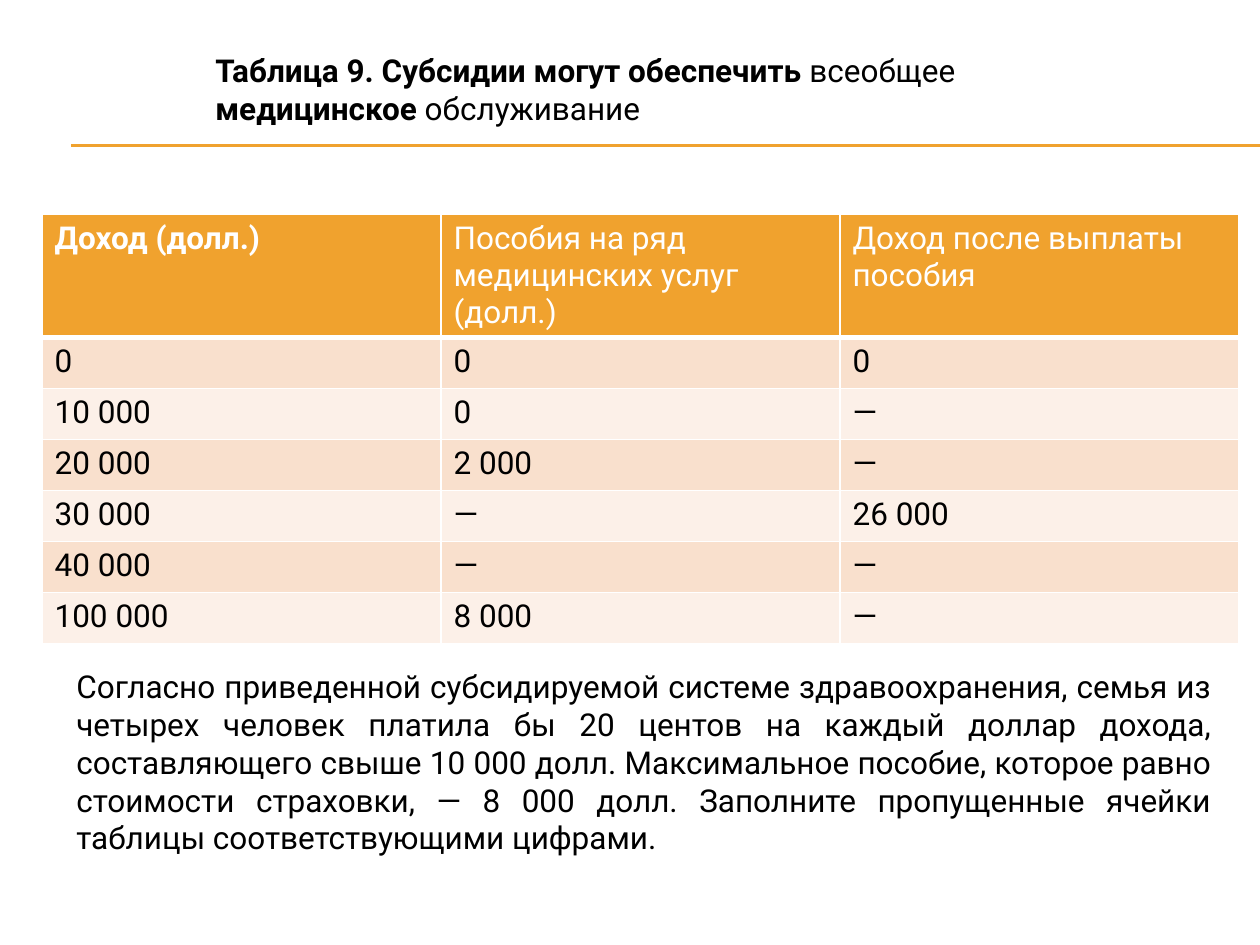
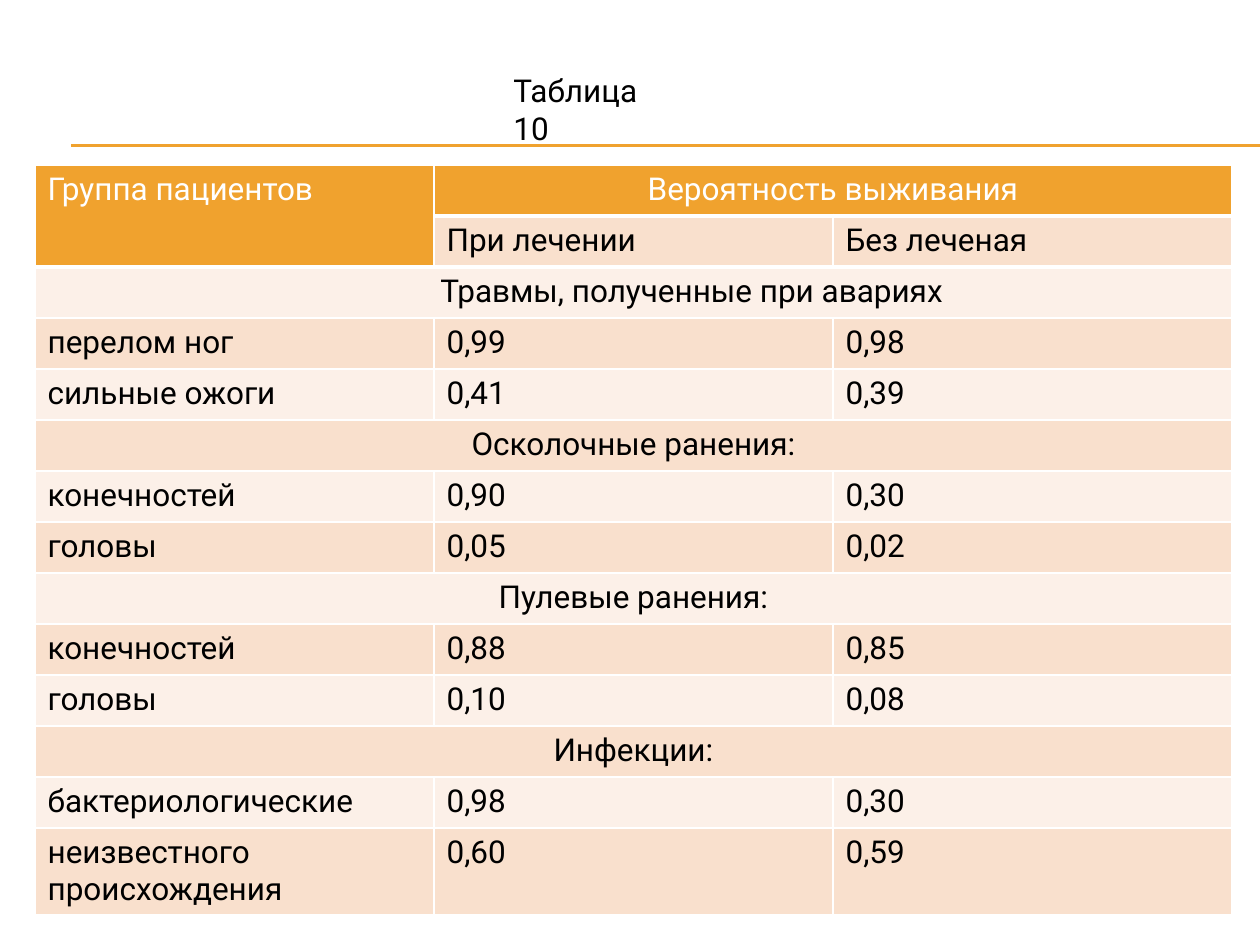
"""Builds two slides of tables on health care subsidies and survival chances."""
from dataclasses import dataclass

from lxml import etree
from pptx import Presentation
from pptx.dml.color import RGBColor
from pptx.enum.shapes import MSO_CONNECTOR
from pptx.enum.text import PP_ALIGN
from pptx.oxml.ns import qn
from pptx.util import Emu, Pt

STRAIGHT = MSO_CONNECTOR.STRAIGHT
LEFT = PP_ALIGN.LEFT
CENTER = PP_ALIGN.CENTER
JUSTIFY = PP_ALIGN.JUSTIFY

PIXELS_PER_INCH = 126
SLIDE_WIDTH, SLIDE_HEIGHT = 1260, 945
COLUMN_COUNT, COLUMN_WIDTH, ROW_HEIGHT = 3, 399, 51
RULE_LEFT, RULE_TOPS = 71, (145, 146)
BLANK_LAYOUT = 6

FONT_NAME = "Roboto"
FONT_SIZE = 18
ORANGE = RGBColor(0xF0, 0xA2, 0x2E)
DARK_BAND = RGBColor(0xF9, 0xE0, 0xCD)
LIGHT_BAND = RGBColor(0xFC, 0xF0, 0xE8)
WHITE = RGBColor(0xFF, 0xFF, 0xFF)
BLACK = RGBColor(0x00, 0x00, 0x00)
THIN_BORDER, THICK_BORDER = 1, 3


@dataclass(frozen=True)
class Run:
    """A piece of text with one weight."""
    text: str
    bold: bool = False


@dataclass(frozen=True)
class TextBlock:
    """A text box with one paragraph."""
    left: int
    top: int
    width: int
    height: int
    runs: tuple[Run, ...]
    alignment: PP_ALIGN = LEFT


@dataclass(frozen=True)
class TableBlock:
    """A table whose short rows stretch their last cell; empty cells join the one above."""
    left: int
    top: int
    rows: tuple[tuple[str, ...], ...]
    bold_headers: tuple[str, ...] = ()
    indented: tuple[str, ...] = ()
    indent: int = 0


@dataclass(frozen=True)
class SlideContent:
    """Everything that differs from one slide to the next."""
    table: TableBlock
    texts: tuple[TextBlock, ...]


SLIDES = (
    SlideContent(
        TableBlock(42, 214, (
            ("Доход (долл.)", "Пособия на ряд медицинских услуг (долл.)",
             "Доход после выплаты пособия"),
            ("0", "0", "0"),
            ("10 000", "0", "—"),
            ("20 000", "2 000", "—"),
            ("30 000", "—", "26 000"),
            ("40 000", "—", "—"),
            ("100 000", "8 000", "—"),
        ), bold_headers=("Доход (долл.)",)),
        (
            TextBlock(203, 45, 883, 89, (
                Run("Таблица 9. Субсидии могут обеспечить ", True),
                Run("всеобщее "),
                Run("медицинское ", True),
                Run("обслуживание"),
            )),
            TextBlock(64, 661, 1160, 204, (
                Run("Согласно приведенной субсидируемой системе здравоохранения, "
                    "семья из четырех человек платила бы 20 центов на каждый доллар "
                    "дохода, составляющего свыше 10 000 долл. Максимальное пособие, "
                    "которое равно стоимости страховки, — 8 000 долл. Заполните "
                    "пропущенные ячейки таблицы соответствующими цифрами."),
            ), JUSTIFY),
        ),
    ),
    SlideContent(
        TableBlock(35, 165, (
            ("Группа пациентов", "Вероятность выживания"),
            ("", "При лечении", "Без леченая"),
            ("Травмы, полученные при авариях",),
            ("перелом ног", "0,99", "0,98"),
            ("сильные ожоги", "0,41", "0,39"),
            ("Осколочные ранения:",),
            ("конечностей", "0,90", "0,30"),
            ("головы", "0,05", "0,02"),
            ("Пулевые ранения:",),
            ("конечностей", "0,88", "0,85"),
            ("головы", "0,10", "0,08"),
            ("Инфекции:",),
            ("бактериологические", "0,98", "0,30"),
            ("неизвестного происхождения", "0,60", "0,59"),
        ), indented=("Травмы, полученные при авариях",), indent=129),
        (TextBlock(501, 65, 180, 50, (Run("Таблица 10"),)),),
    ),
)


def px(length: int) -> Emu:
    """Turn pixels into EMU."""
    return Emu(round(length * 914400 / PIXELS_PER_INCH))


def write_text(paragraph, text: str, *, bold: bool = False,
               color: RGBColor = BLACK, alignment: PP_ALIGN = LEFT) -> None:
    """Append formatted text to a paragraph."""
    paragraph.alignment = alignment
    run = paragraph.add_run()
    run.text = text
    run.font.name = FONT_NAME
    run.font.size = Pt(FONT_SIZE)
    run.font.bold = bold
    run.font.color.rgb = color


def draw_rules(slide) -> None:
    """Draw the double rule below the title."""
    for top in RULE_TOPS:
        rule = slide.shapes.add_connector(
            STRAIGHT, px(RULE_LEFT), px(top), px(SLIDE_WIDTH), px(top))
        rule.line.color.rgb = ORANGE
        rule.line.width = Pt(0.75)
        etree.SubElement(rule._element.spPr, qn("a:effectLst"))


def draw_text(slide, block: TextBlock) -> None:
    """Draw a wrapping text box."""
    box = slide.shapes.add_textbox(
        px(block.left), px(block.top), px(block.width), px(block.height))
    box.text_frame.word_wrap = True
    for run in block.runs:
        write_text(box.text_frame.paragraphs[0], run.text, bold=run.bold,
                   alignment=block.alignment)


def style_cell(cell, fill: RGBColor, top: int, bottom: int) -> None:
    """Give a cell white borders and a solid fill."""
    properties = cell._tc.get_or_add_tcPr()
    widths = {"a:lnL": THIN_BORDER, "a:lnR": THIN_BORDER, "a:lnT": top, "a:lnB": bottom}
    for tag, width in widths.items():
        line = etree.SubElement(properties, qn(tag), w=str(Pt(width)))
        solid = etree.SubElement(line, qn("a:solidFill"))
        etree.SubElement(solid, qn("a:srgbClr"), val=str(WHITE))
    cell.fill.solid()
    cell.fill.fore_color.rgb = fill


def draw_table(slide, block: TableBlock) -> None:
    """Draw a banded table with an orange header."""
    row_count = len(block.rows)
    table = slide.shapes.add_table(
        row_count, COLUMN_COUNT, px(block.left), px(block.top),
        px(COLUMN_COUNT * COLUMN_WIDTH), px(row_count * ROW_HEIGHT)).table
    for column in table.columns:
        column.width = px(COLUMN_WIDTH)
    for row_index, texts in enumerate(block.rows):
        table.rows[row_index].height = px(ROW_HEIGHT)
        band = DARK_BAND if row_index % 2 else LIGHT_BAND
        for column_index in range(COLUMN_COUNT):
            joins_above = column_index == 0 and not texts[0]
            header = row_index == 0 or joins_above
            next_row = block.rows[row_index + 1:row_index + 2]
            joined_below = column_index == 0 and next_row and not next_row[0][0]
            style_cell(table.cell(row_index, column_index),
                       ORANGE if header else band,
                       THICK_BORDER if row_index == 1 and not joins_above else THIN_BORDER,
                       THICK_BORDER if header or joined_below else THIN_BORDER)
        for column_index, text in enumerate(texts):
            cell = table.cell(row_index, column_index)
            if not text:
                table.cell(row_index - 1, column_index).merge(cell)
                continue
            spans = column_index == len(texts) - 1 and len(texts) < COLUMN_COUNT
            if spans:
                cell.merge(table.cell(row_index, COLUMN_COUNT - 1))
            if text in block.indented:
                cell.margin_left = px(block.indent)
            write_text(cell.text_frame.paragraphs[0], text,
                       bold=text in block.bold_headers,
                       color=BLACK if row_index else WHITE,
                       alignment=CENTER if spans else LEFT)


def main() -> None:
    """Build and save the presentation."""
    presentation = Presentation()
    presentation.slide_width = px(SLIDE_WIDTH)
    presentation.slide_height = px(SLIDE_HEIGHT)
    for content in SLIDES:
        slide = presentation.slides.add_slide(presentation.slide_layouts[BLANK_LAYOUT])
        draw_rules(slide)
        draw_table(slide, content.table)
        for block in content.texts:
            draw_text(slide, block)
    presentation.save("out.pptx")


if __name__ == "__main__":
    main()
